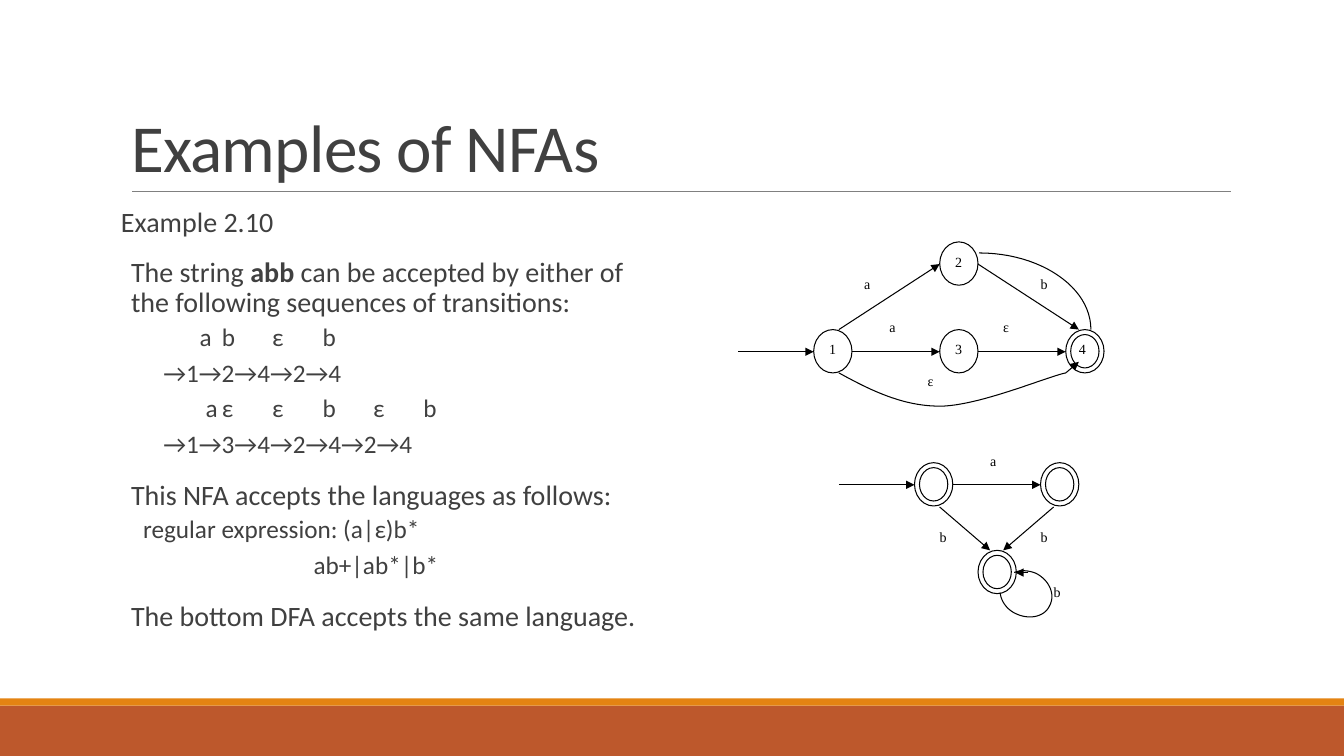
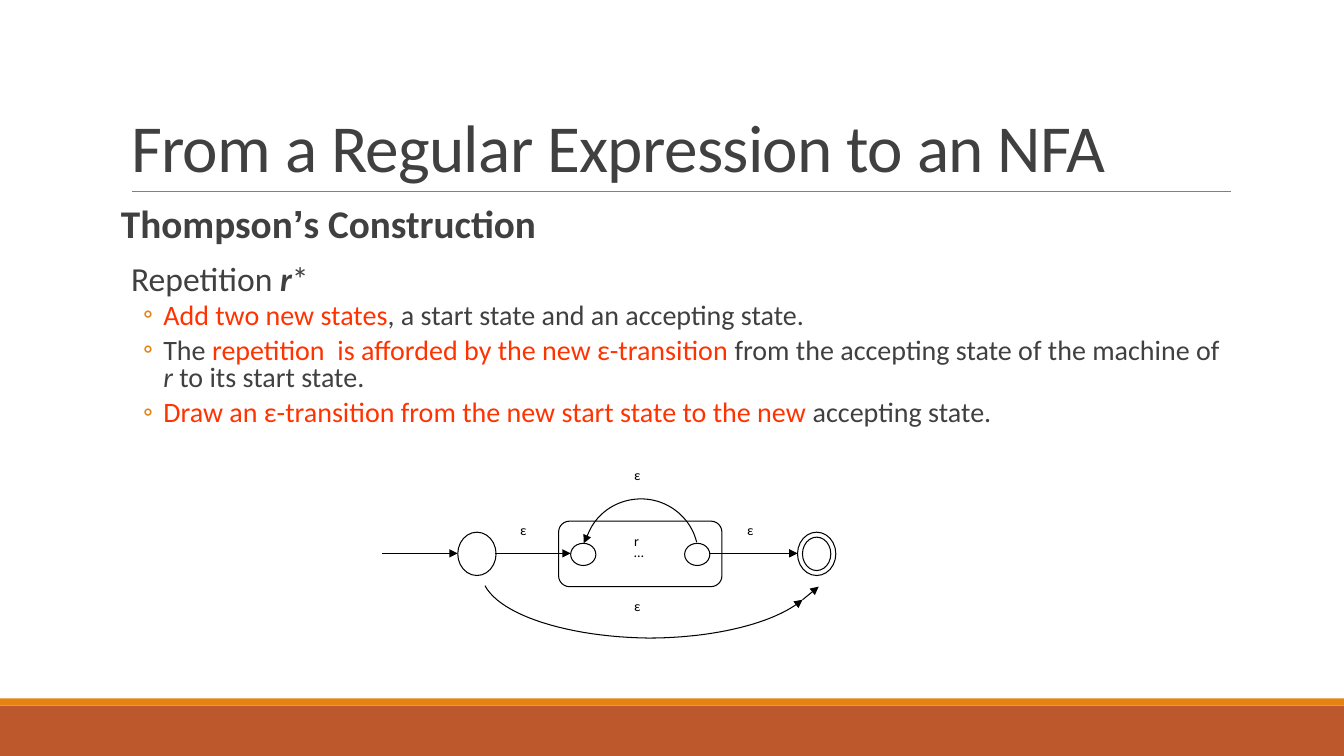
from dataclasses import dataclass, field
from typing import NamedTuple

from lxml import etree
from pptx import Presentation
from pptx.dml.color import RGBColor
from pptx.enum import shapes as es, text as et
from pptx.oxml import ns
from pptx.util import Inches, Pt

COLORS = {
    "text": "404040",
    "accent": "E48312",
    "band": "BD582C",
    "rule": "808080",
    "emphasis": "FF3300",
    "ink": "000000",
    "paper": "FFFFFF",
}
FONT = "Calibri"
CURVE_STEPS = 24
Point = tuple[float, float]


class Span(NamedTuple):
    text: str
    color: str = "text"
    bold: bool = False
    italic: bool = False
    font: str = FONT


@dataclass
class Para:
    spans: list[Span]
    size: int
    level: int = 0
    start: float = 0.1
    bullet: str = ""
    tabs: tuple[float, ...] = ()


class State(NamedTuple):
    left: float
    top: float
    name: str = ""
    accepting: bool = False
    width: float = 0.38
    height: float = 0.43


class Label(NamedTuple):
    text: str
    left: float
    top: float


class Arrow(NamedTuple):
    start: Point
    end: Point


class Curve(NamedTuple):
    """Cubic Bezier chain: a start point, then three points per segment."""
    points: list[Point]
    arrow: bool = False


@dataclass
class Automaton:
    states: list[State]
    labels: list[Label]
    arrows: list[Arrow]
    curves: list[Curve] = field(default_factory=list)
    font: str = "Times New Roman"


def rgb(name: str) -> RGBColor:
    return RGBColor.from_string(COLORS[name])


def sub(parent, tag: str, **attrs: str):
    """Append a DrawingML child element."""
    child = etree.SubElement(parent, ns.qn(tag))
    for key, value in attrs.items():
        child.set(key, value)
    return child


def add_arrowhead(shape) -> None:
    line = shape.element.spPr.find(ns.qn("a:ln"))
    sub(line, "a:tailEnd", type="triangle")


def add_preset(slide, kind, left: float, top: float, width: float, height: float,
               fill: str = "paper", line: str | None = "ink"):
    shape = slide.shapes.add_shape(
        kind, Inches(left), Inches(top), Inches(width), Inches(height))
    shape.shadow.inherit = False
    shape.fill.solid()
    shape.fill.fore_color.rgb = rgb(fill)
    if line:
        shape.line.color.rgb = rgb(line)
        shape.line.width = Pt(0.75)
    else:
        shape.line.fill.background()
    return shape


def add_line(slide, start: Point, end: Point, color: str = "ink", width: float = 0.75):
    line = slide.shapes.add_connector(
        es.MSO_CONNECTOR.STRAIGHT, *(Inches(v) for v in (*start, *end)))
    line.line.color.rgb = rgb(color)
    line.line.width = Pt(width)
    sub(line.element.spPr, "a:effectLst")
    return line


def write_small(shape, words: str, font: str) -> None:
    frame = shape.text_frame
    frame.text = words
    frame.vertical_anchor = et.MSO_ANCHOR.TOP
    paragraph = frame.paragraphs[0]
    paragraph.alignment = et.PP_ALIGN.JUSTIFY
    for run in paragraph.runs:
        run.font.name, run.font.size = font, Pt(10)
        run.font.color.rgb = rgb("ink")


def add_state(slide, state: State, font: str) -> None:
    kind = es.MSO_SHAPE.DONUT if state.accepting else es.MSO_SHAPE.OVAL
    circle = add_preset(slide, kind, state.left, state.top, state.width, state.height)
    if state.accepting:
        circle.adjustments[0] = 0.13
    if state.name:
        write_small(circle, state.name, font)


def add_label(slide, label: Label, font: str) -> None:
    box = add_preset(slide, es.MSO_SHAPE.RECTANGLE, label.left, label.top,
                     0.12, 0.22, line="paper")
    frame = box.text_frame
    frame.margin_left = frame.margin_right = frame.margin_top = frame.margin_bottom = 0
    write_small(box, label.text, font)


def bezier(p0: Point, p1: Point, p2: Point, p3: Point) -> list[Point]:
    dots = []
    for step in range(1, CURVE_STEPS + 1):
        t = step / CURVE_STEPS
        weights = ((1 - t) ** 3, 3 * t * (1 - t) ** 2, 3 * t * t * (1 - t), t ** 3)
        dots.append(tuple(
            sum(w * p[axis] for w, p in zip(weights, (p0, p1, p2, p3)))
            for axis in (0, 1)))
    return dots


def add_curve(slide, curve: Curve) -> None:
    points = curve.points
    dots = [dot for i in range(0, len(points) - 1, 3) for dot in bezier(*points[i:i + 4])]
    builder = slide.shapes.build_freeform(Inches(points[0][0]), Inches(points[0][1]))
    builder.add_line_segments([(Inches(x), Inches(y)) for x, y in dots], close=False)
    arc = builder.convert_to_shape()
    arc.shadow.inherit = False
    arc.fill.background()
    arc.line.color.rgb = rgb("ink")
    arc.line.width = Pt(0.75)
    if curve.arrow:
        add_arrowhead(arc)


def draw_automaton(slide, automaton: Automaton) -> None:
    for state in automaton.states:
        add_state(slide, state, automaton.font)
    for label in automaton.labels:
        add_label(slide, label, automaton.font)
    for curve in automaton.curves:
        add_curve(slide, curve)
    for arrow in automaton.arrows:
        add_arrowhead(add_line(slide, arrow.start, arrow.end))


def place(shape, left: float, top: float, width: float, height: float) -> None:
    shape.left, shape.top = Inches(left), Inches(top)
    shape.width, shape.height = Inches(width), Inches(height)


def write_para(paragraph, para: Para, spacing: float) -> None:
    paragraph.level = para.level
    paragraph.line_spacing = spacing
    before, after = (2, 4) if para.level else (12, 2)
    paragraph.space_before, paragraph.space_after = Pt(before), Pt(after)
    props = paragraph._p.get_or_add_pPr()
    margin, indent = para.start, 0.0
    if para.bullet:
        indent = -0.2
        sub(sub(props, "a:buClr"), "a:srgbClr", val=COLORS["accent"])
        sub(props, "a:buFont", typeface=FONT)
        sub(props, "a:buChar", char=para.bullet)
    else:
        sub(props, "a:buNone")
    if para.tabs:
        margin, indent = 0.0, para.start
        stops = sub(props, "a:tabLst")
        for stop in para.tabs:
            sub(stops, "a:tab", pos=str(Inches(stop)), algn="l")
    props.set("marL", str(Inches(margin)))
    props.set("indent", str(Inches(indent)))
    for span in para.spans:
        run = paragraph.add_run()
        run.text = span.text
        run.font.name, run.font.size = span.font, Pt(para.size)
        run.font.bold, run.font.italic = span.bold, span.italic
        run.font.color.rgb = rgb(span.color)


def add_content_slide(prs, title: str, paras: list[Para], width: float,
                      height: float, spacing: float):
    slide = prs.slides.add_slide(prs.slide_layouts[1])
    add_preset(slide, es.MSO_SHAPE.RECTANGLE, 0, 7, 13.33, 0.5, "band", None)
    add_preset(slide, es.MSO_SHAPE.RECTANGLE, 0, 6.93, 13.33, 0.07, "accent", None)
    add_line(slide, (1.31, 1.9), (12.21, 1.9), "rule", 0.5)

    heading = slide.shapes.title
    place(heading, 1.2, 0.31, 11, 1.59)
    heading.text_frame.text = title
    heading.text_frame.auto_size = et.MSO_AUTO_SIZE.NONE
    heading.text_frame.vertical_anchor = et.MSO_ANCHOR.BOTTOM
    line = heading.text_frame.paragraphs[0]
    line.alignment, line.line_spacing = et.PP_ALIGN.LEFT, 0.85
    run = line.runs[0]
    run.font.name, run.font.size = FONT, Pt(48)
    run.font.color.rgb = rgb("text")
    run._r.get_or_add_rPr().set("spc", "-50")

    body = slide.placeholders[1]
    place(body, 1.2, 2.02, width, height)
    frame = body.text_frame
    frame.auto_size = et.MSO_AUTO_SIZE.NONE
    frame.margin_left = frame.margin_right = 0
    for index, para in enumerate(paras):
        paragraph = frame.add_paragraph() if index else frame.paragraphs[0]
        write_para(paragraph, para, spacing)
    return slide


def build_examples(prs) -> None:
    slide = add_content_slide(prs, "Examples of NFAs", [
        Para([Span("Example 2.10")], 20, start=0),
        Para([Span("The string "), Span("abb ", bold=True),
              Span("can be accepted by either of the following sequences of transitions:")], 20),
        Para([Span("a\tb\tε\tb")], 18, 1, 0.78, tabs=(1.13, 1.44, 1.72)),
        Para([Span("→1→2→4→2→4")], 18, 1, 0.42),
        Para([Span("a\tε\tε\tb\tε\tb")], 18, 1, 0.84, tabs=(1.08, 1.36, 1.64, 1.89, 2.11)),
        Para([Span("→1→3→4→2→4→2→4")], 18, 1, 0.42),
        Para([Span("This NFA accepts the languages as follows:")], 20),
        Para([Span("regular expression: (a|ε)b*")], 18, 1, 0.22),
        Para([Span("ab+|ab*|b*")], 18, 1, 1.91),
        Para([Span("The bottom DFA accepts the same language.")], 20),
    ], 5.4, 4.4, 0.9)
    draw_automaton(slide, Automaton(
        [State(8.07, 3.27, "1"), State(9.32, 3.27, "3"), State(9.32, 2.4, "2"),
         State(10.57, 3.27, accepting=True)],
        [Label("4", 10.7, 3.38), Label("a", 8.57, 2.73), Label("b", 10.32, 2.73),
         Label("a", 8.82, 3.16), Label("ε", 9.95, 3.16), Label("ε", 9.2, 3.7)],
        [Arrow((7.32, 3.49), (8.07, 3.49)), Arrow((8.45, 3.49), (9.32, 3.49)),
         Arrow((9.7, 3.49), (10.57, 3.49)), Arrow((8.32, 3.27), (9.32, 2.62)),
         Arrow((9.7, 2.62), (10.7, 3.27)), Arrow((10.57, 3.7), (10.7, 3.59))],
        [Curve([(9.71, 2.51), (10.32, 2.51), (10.82, 2.85), (10.82, 3.27)]),
         Curve([(8.32, 3.7), (8.63, 3.87), (8.95, 4.03), (9.32, 4.03),
                (9.7, 4.03), (10.38, 3.74), (10.57, 3.7)])]))
    draw_automaton(slide, Automaton(
        [State(9.07, 4.59, accepting=True), State(10.32, 4.59, accepting=True),
         State(9.7, 5.46, accepting=True)],
        [Label("a", 9.82, 4.49), Label("b", 9.32, 5.24), Label("b", 10.32, 5.24),
         Label("b", 10.45, 5.79)],
        [Arrow((8.32, 4.81), (9.07, 4.81)), Arrow((9.45, 4.81), (10.32, 4.81)),
         Arrow((9.32, 5.03), (9.82, 5.46)), Arrow((10.45, 5.03), (9.95, 5.46)),
         Arrow((10.2, 5.68), (10.07, 5.68))],
        [Curve([(10.06, 5.68), (10.12, 5.65), (10.21, 5.66), (10.28, 5.69),
                (10.41, 5.76), (10.47, 5.9), (10.41, 6.01), (10.36, 6.12),
                (10.21, 6.15), (10.08, 6.09), (9.99, 6.05), (9.93, 5.97), (9.92, 5.88)])]))


def build_repetition(prs) -> None:
    slide = add_content_slide(prs, "From a Regular Expression to an NFA", [
        Para([Span("Thompson", bold=True), Span("’", bold=True, font="Arial"),
              Span("s Construction", bold=True)], 28, start=0),
        Para([Span("Repetition "), Span("r", bold=True, italic=True), Span("*")], 24),
        Para([Span("Add two new states", "emphasis"),
              Span(", a start state and an accepting state.")], 20, 1, 0.42, "◦"),
        Para([Span("The "), Span("repetition  is afforded by the new ε-transition ", "emphasis"),
              Span("from the accepting state of the machine of "),
              Span("r ", italic=True), Span("to its start state.")], 20, 1, 0.42, "◦"),
        Para([Span("Draw an ε-transition from the new start state to the new", "emphasis"),
              Span(" accepting state.")], 20, 1, 0.42, "◦"),
    ], 11, 2.49, 0.8)
    add_preset(slide, es.MSO_SHAPE.ROUNDED_RECTANGLE, 5.54, 5.17, 1.62, 0.65)
    draw_automaton(slide, Automaton(
        [State(4.54, 5.28), State(5.66, 5.39, width=0.25, height=0.22),
         State(6.79, 5.39, width=0.25, height=0.22), State(7.91, 5.28, accepting=True)],
        [Label("…", 6.29, 5.39), Label("r", 6.29, 5.28), Label("ε", 6.29, 4.63),
         Label("ε", 5.16, 5.17), Label("ε", 7.41, 5.17), Label("ε", 6.29, 5.93)],
        [Arrow((3.79, 5.49), (4.54, 5.49)), Arrow((4.91, 5.49), (5.66, 5.49)),
         Arrow((7.04, 5.49), (7.91, 5.49)), Arrow((5.84, 5.28), (5.79, 5.39)),
         Arrow((7.96, 5.95), (8.12, 5.82))],
        [Curve([(4.81, 5.81), (4.97, 6.11), (5.65, 6.32), (6.43, 6.33),
                (7.09, 6.33), (7.69, 6.18), (7.96, 5.95)], arrow=True),
         Curve([(6.91, 5.38), (6.85, 5.13), (6.62, 4.95), (6.36, 4.95),
                (6.13, 4.95), (5.93, 5.08), (5.84, 5.28)])],
        FONT))


def main() -> None:
    prs = Presentation()
    prs.slide_width, prs.slide_height = Inches(13.33), Inches(7.5)
    build_examples(prs)
    build_repetition(prs)
    prs.save("out.pptx")


if __name__ == "__main__":
    main()
